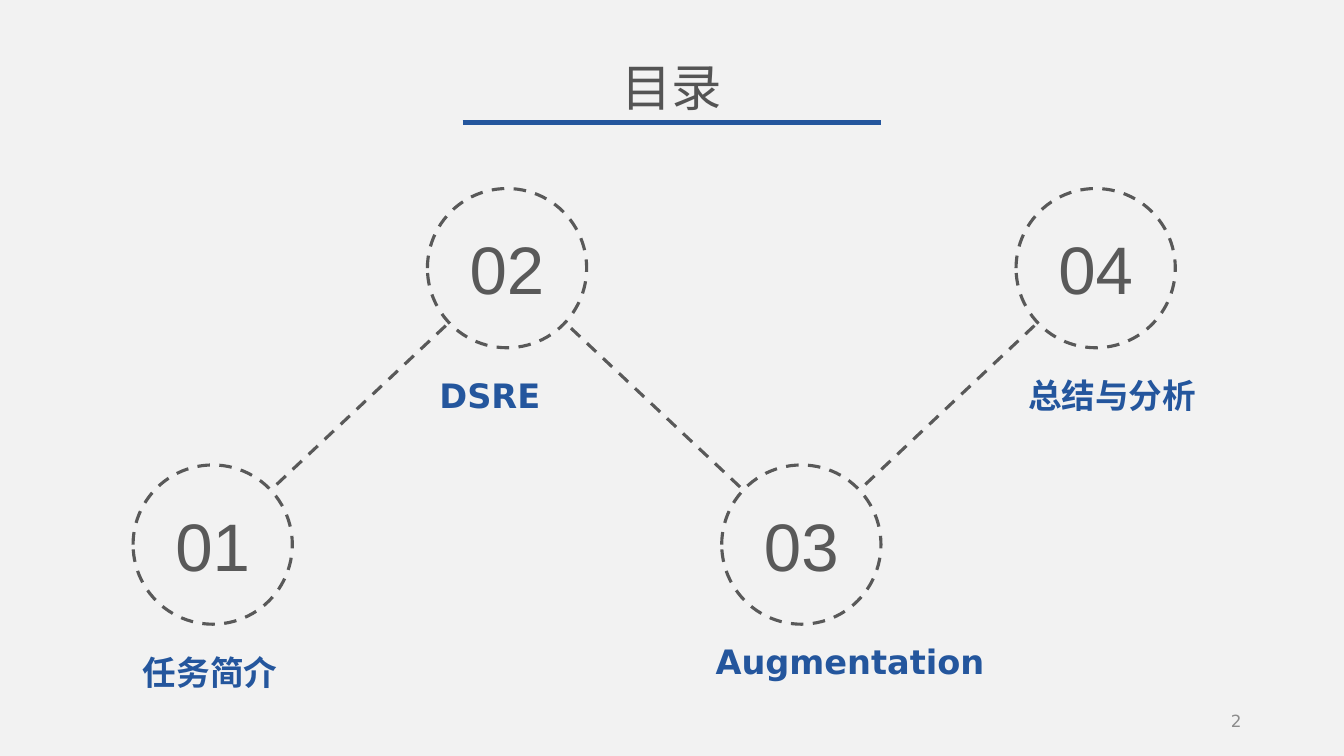
"""Build a contents slide with four numbered stops on a zigzag path."""
from dataclasses import dataclass
from itertools import pairwise

from lxml.etree import SubElement
from pptx import Presentation
from pptx.dml.color import RGBColor
from pptx.enum.dml import MSO_LINE
from pptx.enum.shapes import MSO_CONNECTOR, MSO_SHAPE
from pptx.enum.text import MSO_ANCHOR, PP_ALIGN
from pptx.oxml.ns import qn
from pptx.shapes.autoshape import Shape
from pptx.shapes.connector import Connector
from pptx.slide import Slide
from pptx.text.text import TextFrame
from pptx.util import Pt

PAPER = RGBColor(0xF2, 0xF2, 0xF2)
BLUE = RGBColor(0x24, 0x56, 0x9D)
INK = RGBColor(0x54, 0x54, 0x54)
GRAY = RGBColor(0x59, 0x59, 0x59)
PALE = RGBColor(0x8C, 0x8C, 0x8C)
HAN = "Noto Sans CJK SC"
SANS = "DejaVu Sans"
SIZE = 113.76
LEFT = 95.04
STEP = 210.24
HIGH = 134.64
LOW = 332.1


@dataclass
class Stop:
    name: str
    top: float
    shift: float
    width: float
    drop: float


STOPS = [
    Stop("任务简介", LOW, 0, 111.6, 16.5),
    Stop("DSRE", HIGH, 1.5, 87.12, 16),
    Stop("Augmentation", LOW, -11.5, 207.36, 8.5),
    Stop("总结与分析", HIGH, 1.5, 135.36, 16),
]


def write(frame: TextFrame, text: str, face: str, size: float,
          color: RGBColor, align: PP_ALIGN, bold: bool = False) -> None:
    para = frame.paragraphs[0]
    para.text = text
    para.alignment = align
    font = para.font
    font.size, font.bold, font.name = Pt(size), bold, face
    font.color.rgb = color
    props = para._p.find(qn("a:pPr")).find(qn("a:defRPr"))
    SubElement(props, qn("a:ea")).set("typeface", HAN)


def style(item: Shape | Connector, color: RGBColor, width: float,
          dash: bool) -> None:
    item.line.color.rgb = color
    item.line.width = Pt(width)
    if dash:
        item.line.dash_style = MSO_LINE.DASH


def link(slide: Slide, start: tuple[float, float], end: tuple[float, float],
         color: RGBColor, width: float, dash: bool) -> None:
    line = slide.shapes.add_connector(
        MSO_CONNECTOR.STRAIGHT, *map(Pt, start + end))
    style(line, color, width, dash)
    SubElement(line._element.spPr, qn("a:effectLst"))


def label(slide: Slide, area: tuple[float, float, float, float], text: str,
          size: float, color: RGBColor, align: PP_ALIGN,
          bold: bool = False) -> TextFrame:
    frame = slide.shapes.add_textbox(*map(Pt, area)).text_frame
    frame.word_wrap = False
    write(frame, text, SANS, size, color, align, bold)
    return frame


def draw(slide: Slide, rank: int, stop: Stop) -> None:
    left = LEFT + rank * STEP
    disc = slide.shapes.add_shape(
        MSO_SHAPE.OVAL, Pt(left), Pt(stop.top), Pt(SIZE), Pt(SIZE))
    disc.shadow.inherit = False
    disc.fill.solid()
    disc.fill.fore_color.rgb = PAPER
    style(disc, GRAY, 2.25, True)
    frame = disc.text_frame
    frame.vertical_anchor = MSO_ANCHOR.MIDDLE
    write(frame, f"{rank + 1:02}", "Arial", 48, GRAY, PP_ALIGN.CENTER)
    area = (left + stop.shift, stop.top + SIZE + stop.drop, stop.width, 36)
    label(slide, area, stop.name, 24, BLUE, PP_ALIGN.LEFT, True)


def main() -> None:
    deck = Presentation()
    deck.slide_width, deck.slide_height = Pt(960), Pt(540)
    slide = deck.slides.add_slide(deck.slide_layouts[5])
    slide.background.fill.solid()
    slide.background.fill.fore_color.rgb = PAPER

    title = slide.shapes.title
    title.left, title.top = Pt(436.4), Pt(36.72)
    title.width, title.height = Pt(87.2), Pt(51)
    title.text_frame.word_wrap = False
    title.text_frame.vertical_anchor = MSO_ANCHOR.TOP
    write(title.text_frame, "目录", HAN, 36, INK, PP_ALIGN.CENTER)
    link(slide, (330.5, 87.6), (629.5, 87.6), BLUE, 3.5, False)

    spots = [(LEFT + rank * STEP + SIZE / 2, stop.top + SIZE / 2)
             for rank, stop in enumerate(STOPS)]
    for start, end in pairwise(spots):
        link(slide, start, end, GRAY, 2.25, True)
    for rank, stop in enumerate(STOPS):
        draw(slide, rank, stop)

    page = label(slide, (678, 500.5, 216, 28.75), "2", 12, PALE,
                 PP_ALIGN.RIGHT)
    page.word_wrap = True
    page.vertical_anchor = MSO_ANCHOR.MIDDLE
    deck.save("out.pptx")


if __name__ == "__main__":
    main()
